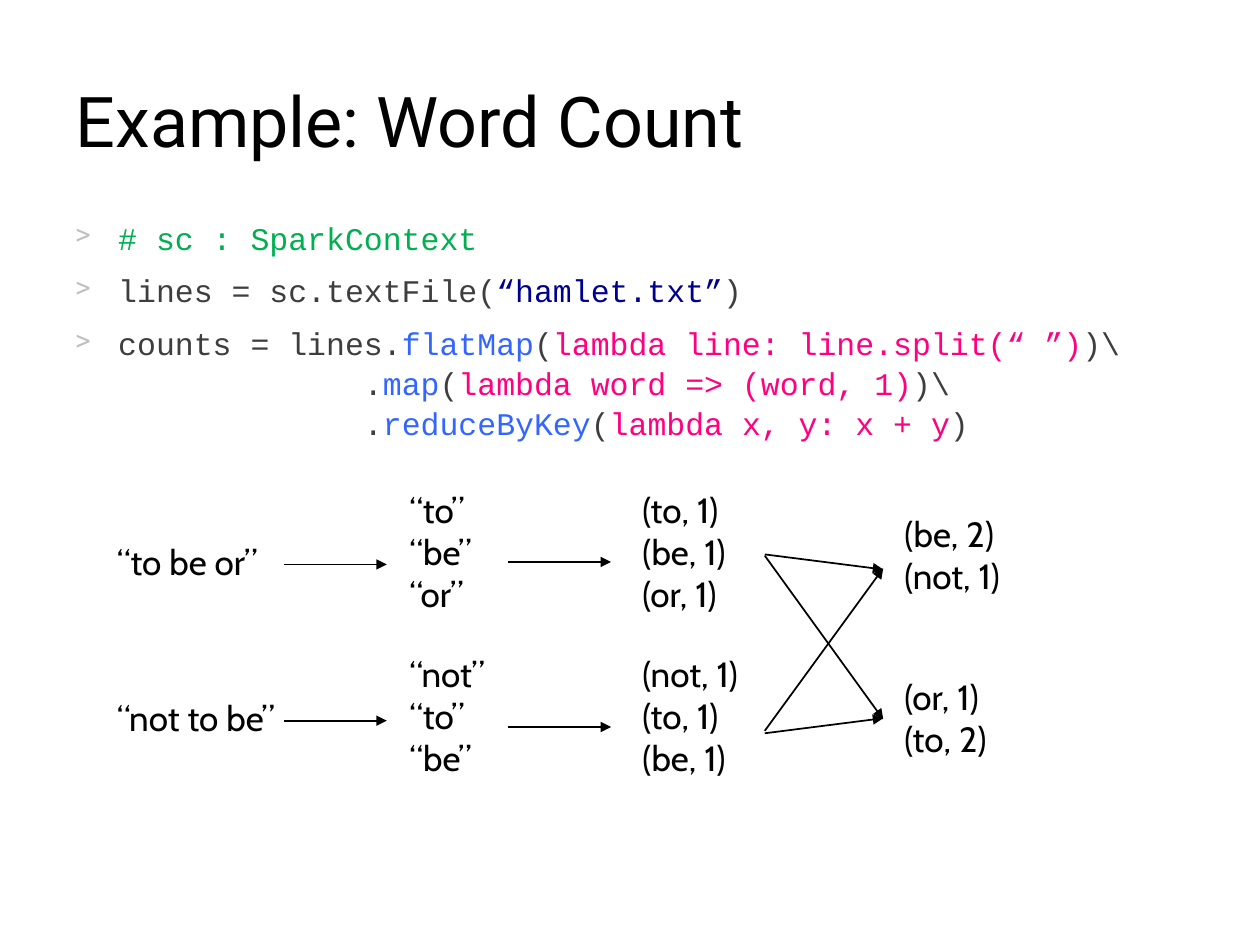
"""Build the word count slide: code lines above a map and reduce flow."""
from lxml import etree
from pptx import Presentation
from pptx import util as u
from pptx.dml.color import RGBColor
from pptx.enum import shapes, text
from pptx.oxml import ns

WIDTH, HEIGHT = 10, 7.5
COLOURS = {"ink": "000000", "code": "3E3E3E", "comment": "00B050", "string": "000090",
           "method": "3366FF", "lambda": "FF0080", "bullet": "BFBFBF"}
CALL_INDENT = "             ."
CODE = [
    [[("# sc : SparkContext", "comment")]],
    [[("lines = sc.textFile(", "code"), ("“hamlet.txt”", "string"), (")", "code")]],
    [[("counts = lines.", "code"), ("flatMap", "method"), ("(", "code"),
      ("lambda line: line.split(“ ”)", "lambda"), (")\\", "code")],
     [(CALL_INDENT, "code"), ("map", "method"), ("(", "code"),
      ("lambda word => (word, 1)", "lambda"), (")\\", "code")],
     [(CALL_INDENT, "code"), ("reduceByKey", "method"), ("(", "code"),
      ("lambda x, y: x + y", "lambda"), (")", "code")]],
]
COLUMNS = [0.83, 3.15, 5, 7.08]
LINE_HEIGHT, PADDING = 0.335, 0.1
STAGES = [
    [("“to be or”", 1.34, 4.24), ("“not to be”", 1.47, 5.48)],
    [("“to”\n“be”\n“or”", 0.72, 3.83), ("“not”\n“to”\n“be”", 0.82, 5.13)],
    [("(to, 1)\n(be, 1)\n(or, 1)", 0.92, 3.83), ("(not, 1)\n(to, 1)\n(be, 1)", 1.02, 5.13)],
    [("(be, 2)\n(not, 1)", 1.02, 4.02), ("(or, 1)\n(to, 2)", 0.89, 5.31)],
]
ARROW_LENGTH = 0.82
STRAIGHT_ARROWS = [(2.25, 4.48), (2.25, 5.72), (4.03, 4.46), (4.03, 5.77)]
SHUFFLE_X = 6.07, 7.01
SHUFFLE_Y = [(4.41, 5.71), (4.4, 4.52), (5.8, 4.51), (5.82, 5.7)]


def inches(*lengths):
    return [u.Inches(length) for length in lengths]


def set_format(target, **values):
    for name, value in values.items():
        setattr(target, name, value)


def style_font(font, name, size, colour):
    set_format(font, name=name, size=u.Pt(size))
    font.color.rgb = RGBColor.from_string(COLOURS[colour])


def add_element(parent, tag, **attributes):
    return etree.SubElement(parent, ns.qn(tag), **attributes)


def add_title(slide, wording):
    title = slide.shapes.title
    left, top, width, height = inches(0.05 * WIDTH, 0.08 * HEIGHT, 0.9 * WIDTH, 0.74)
    set_format(title, left=left, top=top, width=width, height=height)
    set_format(title.text_frame, text=wording, vertical_anchor=text.MSO_ANCHOR.BOTTOM)
    heading = title.text_frame.paragraphs[0]
    set_format(heading, alignment=text.PP_ALIGN.LEFT, line_spacing=0.9)
    style_font(heading.runs[0].font, "Roboto", 40, "ink")


def add_bullet(paragraph, indent):
    properties = paragraph._p.get_or_add_pPr()
    properties.set("marL", str(u.Inches(indent)))
    properties.set("indent", str(-u.Inches(indent)))
    colour = add_element(properties, "a:buClr")
    add_element(colour, "a:srgbClr", val=COLOURS["bullet"])
    add_element(properties, "a:buSzPct", val="85000")
    add_element(properties, "a:buChar", char=">")


def add_code(slide, statements):
    frame = slide.shapes.add_textbox(*inches(0.05 * WIDTH, 1.64, 0.9 * WIDTH, 2.2)).text_frame
    set_format(frame, word_wrap=True, margin_top=u.Inches(0.08))
    for position, lines in enumerate(statements):
        statement = frame.add_paragraph() if position else frame.paragraphs[0]
        add_bullet(statement, 0.34)
        set_format(statement, line_spacing=1.05, space_before=u.Pt(7.5 if position else 0))
        style_font(statement.font, "Courier New", 18, "code")
        for row, tokens in enumerate(lines):
            if row:
                statement.add_line_break()
            for wording, colour in tokens:
                token = statement.add_run()
                token.text = wording
                style_font(token.font, "Courier New", 18, colour)


def add_records(slide, wording, left, top, width):
    height = PADDING + LINE_HEIGHT * len(wording.splitlines())
    frame = slide.shapes.add_textbox(*inches(left, top, width, height)).text_frame
    set_format(frame, word_wrap=False, auto_size=text.MSO_AUTO_SIZE.SHAPE_TO_FIT_TEXT)
    records = frame.paragraphs[0]
    records.text = wording
    for record in records.runs:
        style_font(record.font, "Cabin", 20, "ink")


def add_arrow(slide, start_x, start_y, end_x, end_y):
    arrow = slide.shapes.add_connector(shapes.MSO_CONNECTOR.STRAIGHT,
                                       *inches(start_x, start_y, end_x, end_y))
    arrow.line.width = u.Pt(1)
    arrow.line.color.rgb = RGBColor.from_string(COLOURS["ink"])
    add_element(arrow.line._get_or_add_ln(), "a:tailEnd", type="triangle", w="med", len="med")
    add_element(arrow._element.spPr, "a:effectLst")


def main():
    deck = Presentation()
    set_format(deck, slide_width=u.Inches(WIDTH), slide_height=u.Inches(HEIGHT))
    slide = deck.slides.add_slide(deck.slide_layouts[5])
    add_title(slide, "Example: Word Count")
    add_code(slide, CODE)
    for left, stage in zip(COLUMNS, STAGES):
        for wording, width, top in stage:
            add_records(slide, wording, left, top, width)
    for x, y in STRAIGHT_ARROWS:
        add_arrow(slide, x, y, x + ARROW_LENGTH, y)
    for start_y, end_y in SHUFFLE_Y:
        add_arrow(slide, SHUFFLE_X[0], start_y, SHUFFLE_X[1], end_y)
    deck.save("out.pptx")


if __name__ == "__main__":
    main()
